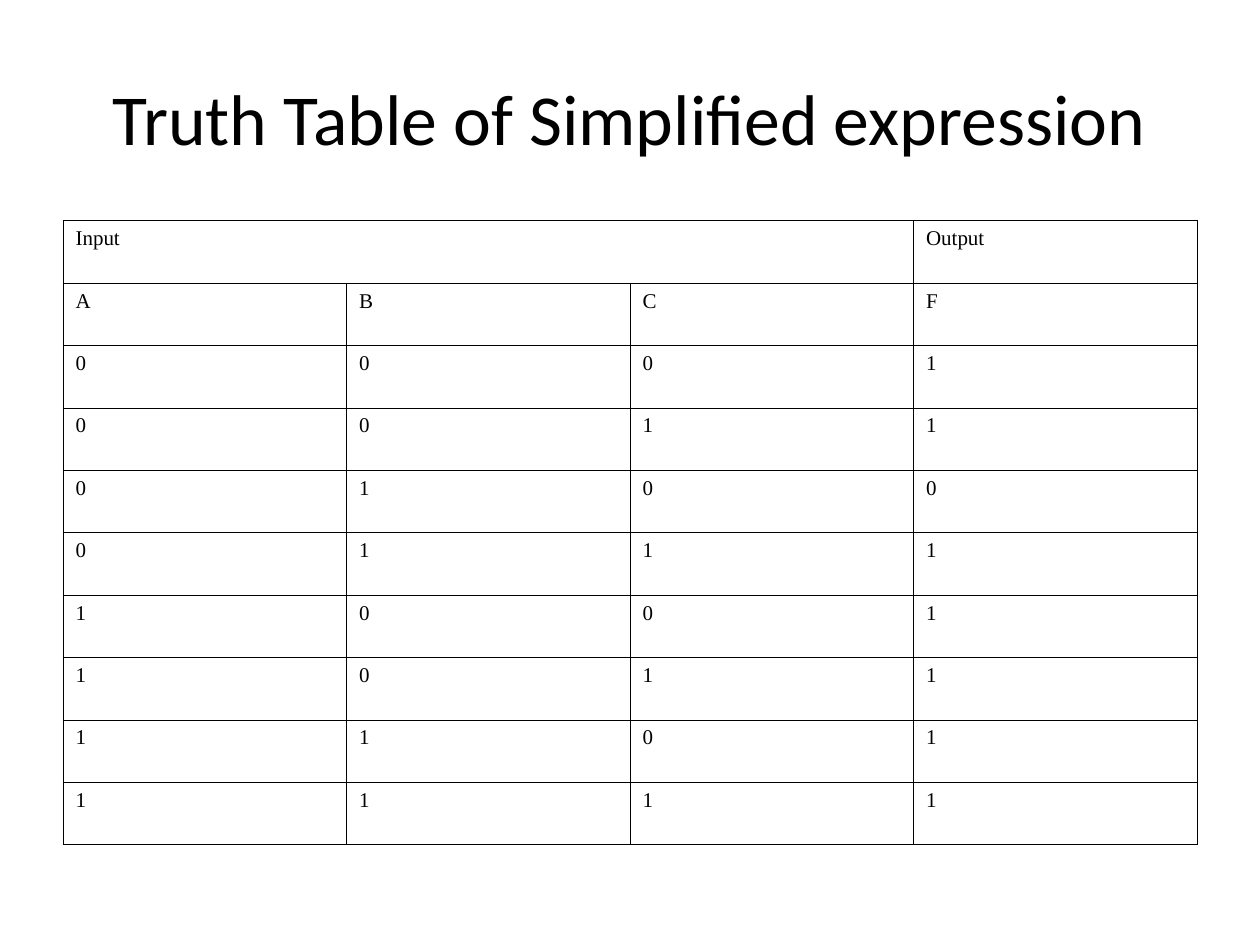
from itertools import product

from lxml import etree
from pptx import Presentation, util as u
from pptx.dml.color import RGBColor
from pptx.enum import text
from pptx.oxml import ns

BLACK = RGBColor(0x00, 0x00, 0x00)
WHITE = RGBColor(0xFF, 0xFF, 0xFF)


class SlideBuilder:
    title_font, title_size = "Calibri", u.Pt(41)
    cell_font, cell_size = "Times New Roman", u.Pt(12)
    border_width = u.Pt(0.45)
    left, width = u.Cm(1.27), u.Cm(22.86)

    def __init__(self, prs):
        self.s = prs.slides.add_slide(prs.slide_layouts[6])
        self.s.background.fill.solid()
        self.s.background.fill.fore_color.rgb = WHITE

    def set_text(self, tf, wording, font, size, align):
        tf.text = wording
        p = tf.paragraphs[0]
        p.alignment = align
        r = p.runs[0]
        r.font.name, r.font.size = font, size
        r.font.color.rgb = BLACK

    def title(self, wording, top, height):
        sp = self.s.shapes.add_textbox(self.left, top, self.width, height)
        tf = sp.text_frame
        tf.word_wrap = True
        tf.vertical_anchor = text.MSO_ANCHOR.MIDDLE
        self.set_text(tf, wording, self.title_font, self.title_size,
                      text.PP_ALIGN.CENTER)

    def border(self, cell):
        tc_pr = cell._tc.get_or_add_tcPr()
        for side in ("a:lnL", "a:lnR", "a:lnT", "a:lnB"):
            ln = etree.SubElement(tc_pr, ns.qn(side), w=str(int(self.border_width)))
            fill = etree.SubElement(ln, ns.qn("a:solidFill"))
            etree.SubElement(fill, ns.qn("a:srgbClr"), val=str(BLACK))

    def table(self, rows, top, height):
        """Draw an even ruled grid; a None value joins the cell to its left."""
        n_cols = len(rows[0])
        table = self.s.shapes.add_table(
            len(rows), n_cols, self.left, top, self.width, height).table
        table.first_row = table.horz_banding = False
        for row in table.rows:
            row.height = height // len(rows)
        for column in table.columns:
            column.width = self.width // n_cols
        for i, values in enumerate(rows):
            for j, value in enumerate(values):
                cell = table.cell(i, j)
                self.border(cell)
                cell.fill.background()
                if value is None:
                    continue
                self.set_text(cell.text_frame, str(value), self.cell_font,
                              self.cell_size, text.PP_ALIGN.JUSTIFY)
                end = j
                while end + 1 < n_cols and values[end + 1] is None:
                    end += 1
                if end > j:
                    cell.merge(table.cell(i, end))


def truth_rows():
    """All inputs with F = A + B' + C."""
    return [(a, b, c, int(a or not b or c)) for a, b, c in product((0, 1), repeat=3)]


def main():
    prs = Presentation()
    prs.slide_width, prs.slide_height = u.Cm(25.4), u.Cm(19.05)
    slide = SlideBuilder(prs)
    slide.title("Truth Table of Simplified expression", u.Cm(0.76), u.Cm(3.18))
    headings = [("Input", None, None, "Output"), ("A", "B", "C", "F")]
    slide.table(headings + truth_rows(), u.Cm(4.45), u.Cm(12.58))
    prs.save("out.pptx")


if __name__ == "__main__":
    main()
